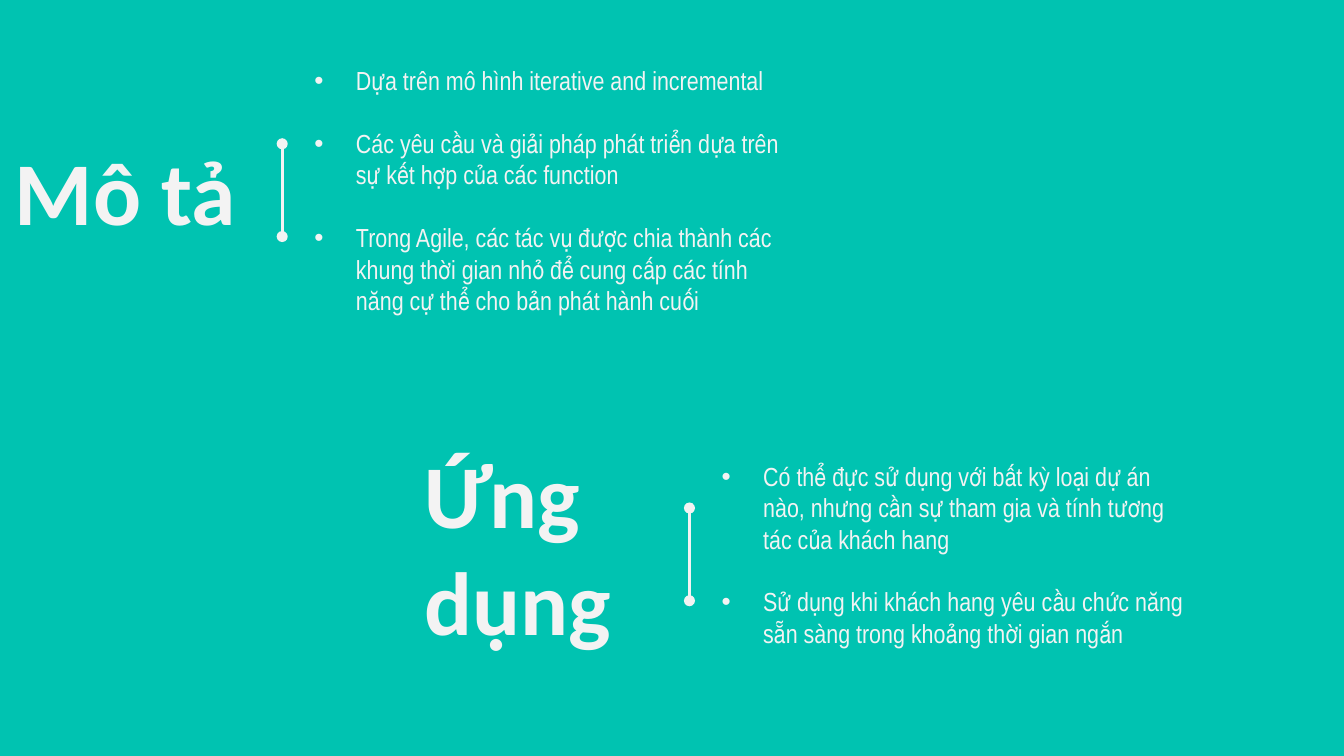
from dataclasses import dataclass

import pptx
import pptx.dml.color
import pptx.enum.shapes
import pptx.enum.text
import pptx.oxml
import pptx.oxml.ns
import pptx.util
from pptx.util import Inches


@dataclass(frozen=True)
class Theme:
    background: str = "00C3B1"
    ink: str = "F3F3F3"
    title_font: str = "Calibri"
    body_font: str = "Arial Narrow"
    title_size: float = 48
    body_size: float = 14
    bullet_gap: float = 16.8
    rule_width: float = 1.5


THEME = Theme()
TITLE_W, BODY_W = 2.15, 3.68
RULE_GAP, RULE_TOP, RULE_H = 0.14, 0.9, 0.69
BULLET_INDENT = 0.31

DESCRIPTION = [
    "Dựa trên mô hình iterative and incremental",
    "Các yêu cầu và giải pháp phát triển dựa trên sự kết hợp của các function",
    "Trong Agile, các tác vụ được chia thành các khung thời gian nhỏ để cung cấp "
    "các tính năng cự thể cho bản phát hành cuối",
]
USAGE = [
    "Có thể đực sử dụng với bất kỳ loại dự án nào, nhưng cần sự tham gia và tính "
    "tương tác của khách hang",
    "Sử dụng khi khách hang yêu cầu chức năng sẵn sàng trong khoảng thời gian ngắn",
]


def rgb(value):
    return pptx.dml.color.RGBColor.from_string(value)


def add_xml(parent, tag, **attrs):
    child = pptx.oxml.parse_xml(f"<a:{tag} {pptx.oxml.ns.nsdecls('a')}/>")
    for name, value in attrs.items():
        child.set(name, value)
    parent.append(child)
    return child


def fill_text(sp, lines, font, size, bold=False):
    """Write one paragraph per line, left aligned and centred vertically."""
    tf = sp.text_frame
    tf.text = "\n".join(lines)
    tf.word_wrap = True
    tf.auto_size = pptx.enum.text.MSO_AUTO_SIZE.NONE
    tf.vertical_anchor = pptx.enum.text.MSO_ANCHOR.MIDDLE
    tf.margin_left = tf.margin_right = Inches(0.1)
    tf.margin_top = tf.margin_bottom = Inches(0.1)
    for p in tf.paragraphs:
        p.alignment = pptx.enum.text.PP_ALIGN.LEFT
        for r in p.runs:
            r.font.name = font
            r.font.size = pptx.util.Pt(size)
            r.font.bold = bold
            r.font.color.rgb = rgb(THEME.ink)


def add_bullets(paragraphs):
    for i, p in enumerate(paragraphs):
        p.space_before = pptx.util.Pt(THEME.bullet_gap if i else 0)
        pPr = p._p.get_or_add_pPr()
        pPr.set("marL", str(Inches(BULLET_INDENT)))
        pPr.set("indent", str(-Inches(BULLET_INDENT)))
        add_xml(add_xml(pPr, "buClr"), "srgbClr", val=THEME.ink)
        add_xml(pPr, "buFont", typeface="Arial")
        add_xml(pPr, "buChar", char="•")


def add_rule(s, x, y, height):
    """Draw a vertical line with a dot at each end."""
    line = s.shapes.add_connector(
        pptx.enum.shapes.MSO_CONNECTOR.STRAIGHT,
        Inches(x), Inches(y), Inches(x), Inches(y + height))
    line.line.color.rgb = rgb(THEME.ink)
    line.line.width = pptx.util.Pt(THEME.rule_width)
    ln = line.line._get_or_add_ln()
    add_xml(ln, "headEnd", type="oval")
    add_xml(ln, "tailEnd", type="oval")
    add_xml(line._element.spPr, "effectLst")


def add_section(s, box, heading, bullets, title=None, title_rise=0):
    """Place a heading at the left of the box, bullets at its right, a rule between."""
    x, y, w, h = box
    if title is None:
        title = s.shapes.add_textbox(0, 0, 0, 0)
    title.left, title.top = Inches(x), Inches(y - title_rise)
    title.width, title.height = Inches(TITLE_W), Inches(h)
    fill_text(title, [heading], THEME.title_font, THEME.title_size, bold=True)

    body_x = x + w - BODY_W
    body = s.shapes.add_textbox(Inches(body_x), Inches(y), Inches(BODY_W), Inches(h))
    fill_text(body, bullets, THEME.body_font, THEME.body_size)
    add_bullets(body.text_frame.paragraphs)

    add_rule(s, body_x - RULE_GAP, y + RULE_TOP, RULE_H)


def main():
    prs = pptx.Presentation()
    prs.slide_width = Inches(10)
    prs.slide_height = prs.slide_width * 9 // 16
    s = prs.slides.add_slide(prs.slide_layouts.get_by_name("Title Only"))
    s.background.fill.solid()
    s.background.fill.fore_color.rgb = rgb(THEME.background)

    add_section(s, (0.01, 0.17, 5.91, 2.49), "Mô tả", DESCRIPTION, title=s.shapes.title)
    add_section(s, (3.06, 2.88, 5.89, 2.49), "Ứng dụng", USAGE, title_rise=0.06)
    prs.save("out.pptx")


if __name__ == "__main__":
    main()
